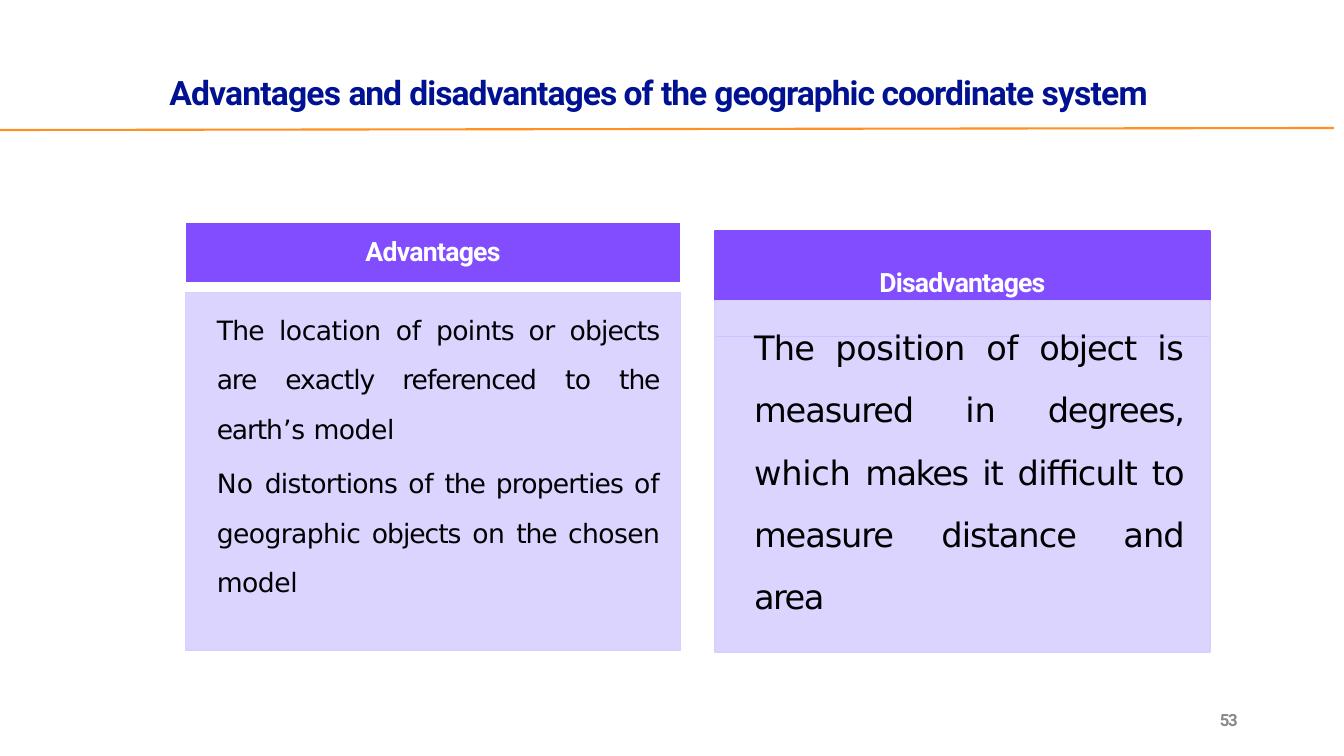
from lxml import etree
from pptx import Presentation
from pptx.dml.color import RGBColor
from pptx.enum.shapes import MSO_CONNECTOR, MSO_SHAPE
from pptx.enum.text import PP_ALIGN
from pptx.oxml.ns import qn
from pptx.util import Inches, Pt

RECT = MSO_SHAPE.RECTANGLE
STRAIGHT = MSO_CONNECTOR.STRAIGHT
LEFT, CENTER, JUSTIFY = PP_ALIGN.LEFT, PP_ALIGN.CENTER, PP_ALIGN.JUSTIFY

COLORS = {"navy": "001291", "orange": "FF9021", "violet": "814DFF", "lilac": "D7D0FF",
          "white": "FFFFFF", "black": "000000", "gray": "888888"}
HEAD, BODY = "Roboto", "DejaVu Sans"
COLS, ROWS = 133.3, 75

# Each run is a pair: text, letter spacing in points
TITLE = [("Advantages ", -0.6), ("and ", -0.8), ("disadvantages of ", -0.7), ("the ", -0.8),
         ("geographic coordinate ", -0.7), ("system", -0.6)]
PROS = [
    [("The ", -0.5), ("location ", -0.3), ("of ", -0.1), ("points or ", -0.4), ("objects ", -0.6),
     ("are ", -0.8), ("exactly referenced ", -0.7), ("to ", -0.6), ("the earth", -0.8),
     ("’s ", -0.1), ("model", -0.3)],
    [("No ", 0.2), ("distortions ", -0.5), ("of ", -0.1), ("the ", -0.8), ("properties ", -0.6),
     ("of ", -0.1), ("geographic ", -0.4), ("objects ", -0.7), ("on ", -0.2), ("the ", -0.8),
     ("chosen ", -0.4), ("model", -0.3)],
]
CONS = [
    [("The ", -0.6), ("position ", -0.3), ("of ", -0.2), ("object ", -0.8), ("is ", -0.2),
     ("measured ", -0.8), ("in ", -0.2), ("degrees, ", -0.9), ("which ", -0.2), ("makes ", -1.1),
     ("it ", -0.7), ("difficult ", -0.5), ("to ", -0.7), ("measure ", -0.8), ("distance ", -0.7),
     ("and ", -0.7), ("area", -1.1)],
]


class Deck:
    def __init__(self):
        self.prs = Presentation()
        self.prs.slide_width, self.prs.slide_height = Inches(13.33), Inches(7.5)
        self.col = self.prs.slide_width / COLS
        self.row = self.prs.slide_height / ROWS
        self.slide = self.prs.slides.add_slide(self.prs.slide_layouts[6])

    def color(self, name):
        return RGBColor.from_string(COLORS[name])

    def place(self, x, y, w, h):
        return [round(n) for n in (x * self.col, y * self.row, w * self.col, h * self.row)]

    def rect(self, box, fill=None, line=None, alpha=None):
        shape = self.slide.shapes.add_shape(RECT, *self.place(*box))
        shape.shadow.inherit = False
        if fill:
            shape.fill.solid()
            shape.fill.fore_color.rgb = self.color(fill)
        else:
            shape.fill.background()
        if alpha:
            tint = shape.fill._xPr.find(qn("a:solidFill"))[0]
            etree.SubElement(tint, qn("a:alpha")).set("val", str(alpha * 1000))
        if line:
            shape.line.color.rgb = self.color(line)
            shape.line.width = Pt(1)
        else:
            shape.line.fill.background()

    def rule(self, x1, y1, x2, y2, color):
        line = self.slide.shapes.add_connector(STRAIGHT, *self.place(x1, y1, x2, y2))
        line.line.color.rgb = self.color(color)
        line.line.width = Pt(1.5)
        etree.SubElement(line._element.spPr, qn("a:effectLst"))

    def text(self, box, paras, size, color, font=HEAD, align=LEFT, top=0.1, left=0, lead=None, gap=0):
        """Add a text box; top and left are insets in grid units, lead is line spacing."""
        frame = self.slide.shapes.add_textbox(*self.place(*box)).text_frame
        frame.word_wrap = True
        frame.margin_left, frame.margin_top, frame.margin_right, frame.margin_bottom = self.place(
            left, top, 0, 0)
        for i, runs in enumerate(paras):
            para = frame.add_paragraph() if i else frame.paragraphs[0]
            para.alignment = align
            if lead:
                para.line_spacing = lead
            if i:
                para.space_before = Pt(gap)
            for words, track in runs:
                run = para.add_run()
                run.text = words
                run.font.name, run.font.size = font, Pt(size)
                run.font.bold = font == HEAD
                run.font.color.rgb = self.color(color)
                run.font._element.set("spc", str(round(track * 100)))

    def panel(self, x, y, w, h):
        self.rect((x, y, w, h), "lilac", "lilac", alpha=90)


def main():
    deck = Deck()
    deck.text((16.8, 7, 110, 4.3), [TITLE], 24, "navy")
    deck.rule(0, 12.9, 132.3, 12.7, "orange")

    pro, con, wide = 18.4, 70.9, 49.1
    deck.rect((pro, 22.1, wide, 6), "violet", "white")
    deck.text((pro, 22.1, wide, 6), [[("Advantages", -0.5)]], 19, "white", align=CENTER, top=1.2)
    deck.panel(pro, 29, wide, 35.5)
    deck.text((21.5, 29.3, 43.9, 30.2), PROS, 19, "black", BODY, JUSTIFY, lead=1.55, gap=3.6)

    deck.rect((con, 22.9, wide, 10.5), line="violet")
    deck.rect((con, 22.9, wide, 6.9), "violet")
    deck.text((con, 22.9, wide, 6.9), [[("Disadvantages", -0.6)]], 19, "white", align=CENTER, top=3.7)
    deck.panel(con, 29.8, wide, 34.9)
    deck.text((74.8, 30.1, 42.6, 25.1), CONS, 24, "black", BODY, JUSTIFY, lead=1.55)

    deck.text((120.6, 70.3, 3, 2.3), [[("53", -1)]], 12, "gray", left=0.4)
    deck.prs.save("out.pptx")


if __name__ == "__main__":
    main()
